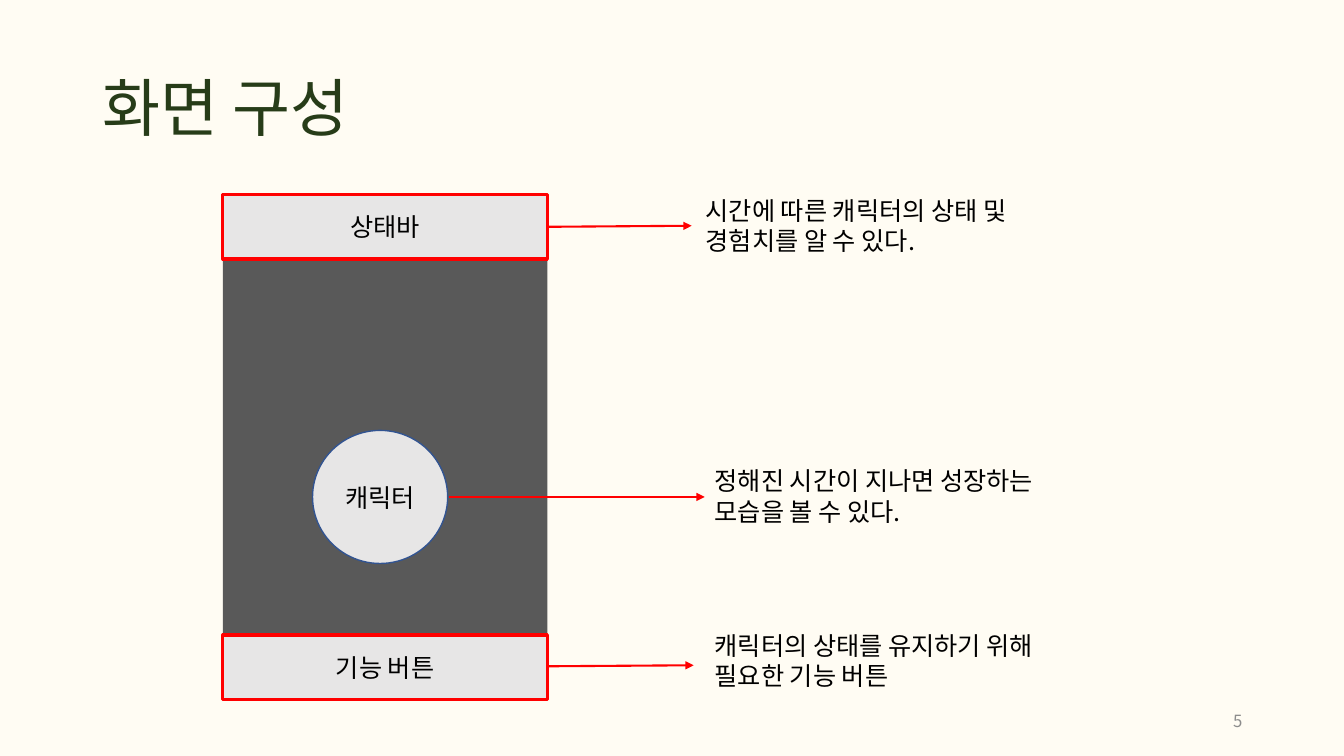
from lxml.etree import SubElement
from pptx import Presentation
from pptx.dml.color import RGBColor
from pptx.enum.shapes import MSO_CONNECTOR, MSO_SHAPE
from pptx.enum.text import MSO_ANCHOR as Anchor, PP_ALIGN as Align
from pptx.oxml.ns import qn
from pptx.util import Inches, Pt

FONT = "Noto Sans CJK KR"
COLORS = {
    "background": "FFFCF3", "title": "273C18", "text": "000000",
    "screen": "595959", "part": "E7E6E6", "accent": "FF0000",
    "outline": "325491", "number": "8C8C8C",
}


def rgb(name):
    """Return the named palette colour."""
    return RGBColor.from_string(COLORS[name])


class ScreenSlide:
    """Holds the style and the current slide."""

    def __init__(self, slide):
        """Keep the slide and paint its background."""
        self.shapes = slide.shapes
        slide.background.fill.solid()
        slide.background.fill.fore_color.rgb = rgb("background")

    def set_lines(self, frame, lines, size=18, color="text", align=Align.LEFT,
                  anchor=Anchor.TOP, spacing=None):
        """Fill a text frame with one paragraph per line."""
        frame.word_wrap = True
        frame.vertical_anchor = anchor
        for index, line in enumerate(lines):
            paragraph = frame.paragraphs[0] if index == 0 else frame.add_paragraph()
            paragraph.alignment = align
            paragraph.line_spacing = spacing
            run = paragraph.add_run()
            run.text = line
            run.font.name = FONT
            run.font.size = Pt(size)
            run.font.color.rgb = rgb(color)
            SubElement(run.font._element, qn("a:ea")).set("typeface", FONT)

    def text(self, box, lines, **style):
        """Add a text box."""
        frame = self.shapes.add_textbox(*map(Inches, box)).text_frame
        self.set_lines(frame, lines, **style)

    def block(self, kind, box, fill, label=None, line=None, width=1):
        """Add a filled shape with an optional outline and centred label."""
        shape = self.shapes.add_shape(kind, *map(Inches, box))
        shape.shadow.inherit = False
        shape.fill.solid()
        shape.fill.fore_color.rgb = rgb(fill)
        if line:
            shape.line.color.rgb = rgb(line)
            shape.line.width = Pt(width)
        else:
            shape.line.fill.background()
        if label:
            self.set_lines(shape.text_frame, [label], align=Align.CENTER,
                           anchor=Anchor.MIDDLE)

    def arrow(self, start, end):
        """Add a red arrow from start to end."""
        arrow = self.shapes.add_connector(
            MSO_CONNECTOR.STRAIGHT, *map(Inches, (*start, *end)))
        arrow.line.color.rgb = rgb("accent")
        arrow.line.width = Pt(1.5)
        properties = arrow._element.spPr
        SubElement(properties.find(qn("a:ln")), qn("a:tailEnd")).set("type", "triangle")
        SubElement(properties, qn("a:effectLst"))


presentation = Presentation()
presentation.slide_width, presentation.slide_height = Inches(13.33), Inches(7.5)
page = ScreenSlide(presentation.slides.add_slide(presentation.slide_layouts[6]))

page.text((0.92, 0.57, 11.5, 1.07), ["화면 구성"], size=45, color="title",
          anchor=Anchor.MIDDLE, spacing=0.9)

screen_left, screen_top, screen_width = 2.21, 1.93, 3.22
page.block(MSO_SHAPE.RECTANGLE, (screen_left, screen_top, screen_width, 5), "screen")
for bar_top, bar_label in ((screen_top, "상태바"), (6.3, "기능 버튼")):
    page.block(MSO_SHAPE.RECTANGLE, (screen_left, bar_top, screen_width, 0.64),
               "part", bar_label, "accent", 2.25)
page.block(MSO_SHAPE.OVAL, (3.1, 4.27, 1.34, 1.32), "part", "캐릭터", "outline")

explanations = (
    ((6.9, 1.89, 3.59, 0.71), ["시간에 따른 캐릭터의 상태 및", "경험치를 알 수 있다."],
     (5.43, 2.25), (6.86, 2.24)),
    ((6.99, 4.57, 3.75, 0.71), ["정해진 시간이 지나면 성장하는", "모습을 볼 수 있다."],
     (4.45, 4.93), (6.99, 4.93)),
    ((6.99, 6.2, 3.75, 0.71), ["캐릭터의 상태를 유지하기 위해", "필요한 기능 버튼"],
     (5.44, 6.61), (6.88, 6.6)),
)
for box, lines, start, end in explanations:
    page.text(box, lines)
    page.arrow(start, end)

page.text((9.42, 6.95, 3, 0.4), ["5"], size=12, color="number",
          align=Align.RIGHT, anchor=Anchor.MIDDLE)

presentation.save("out.pptx")
